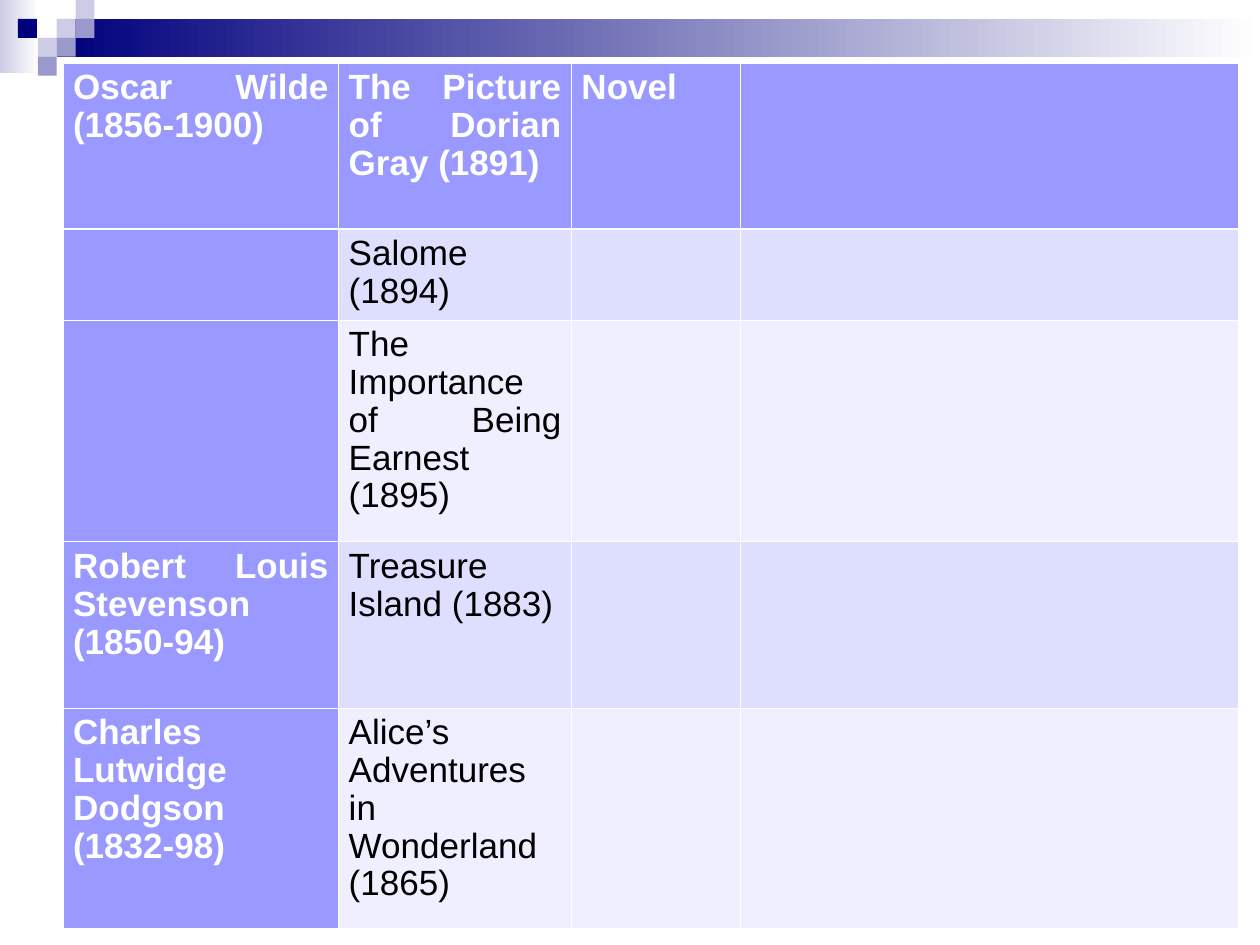
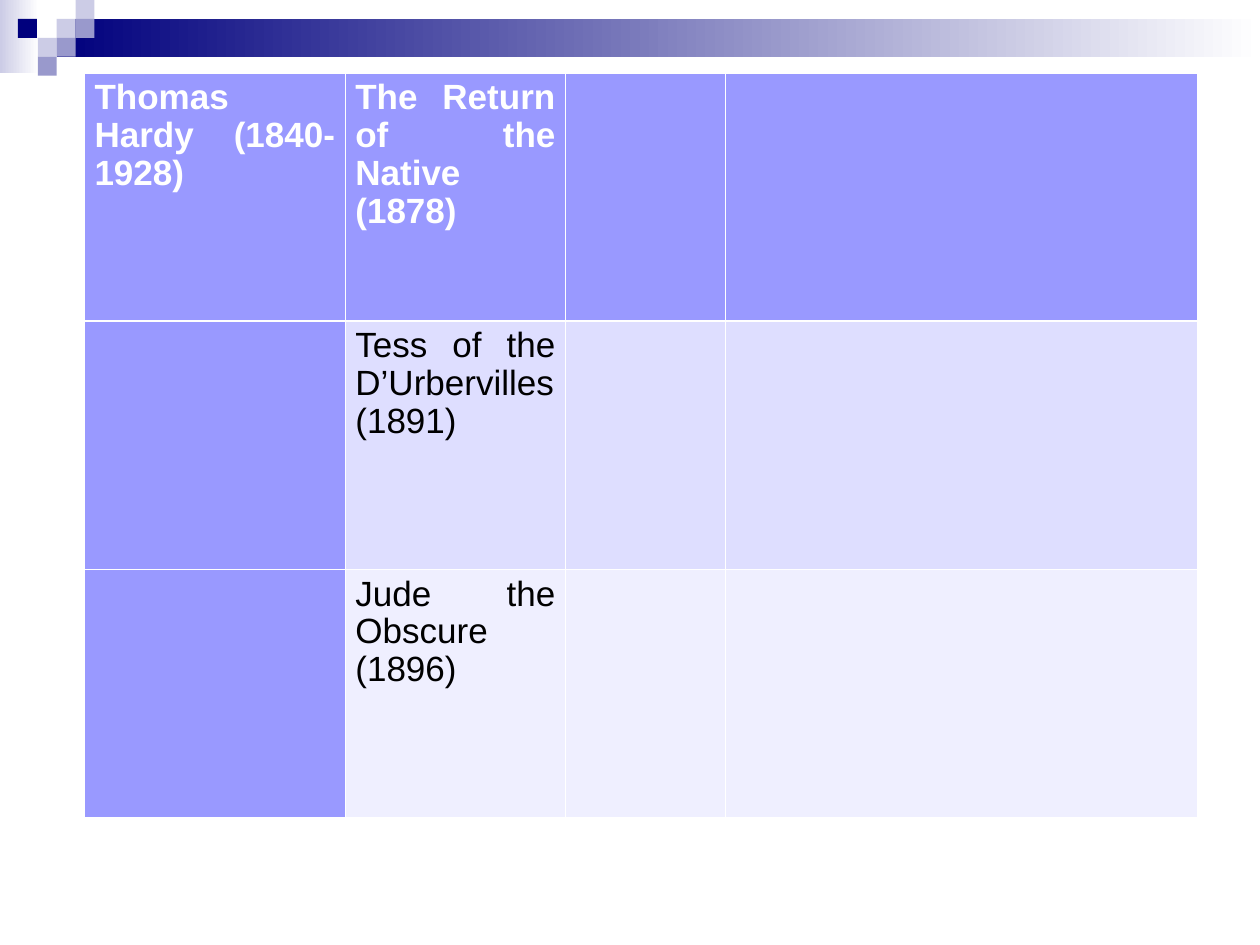
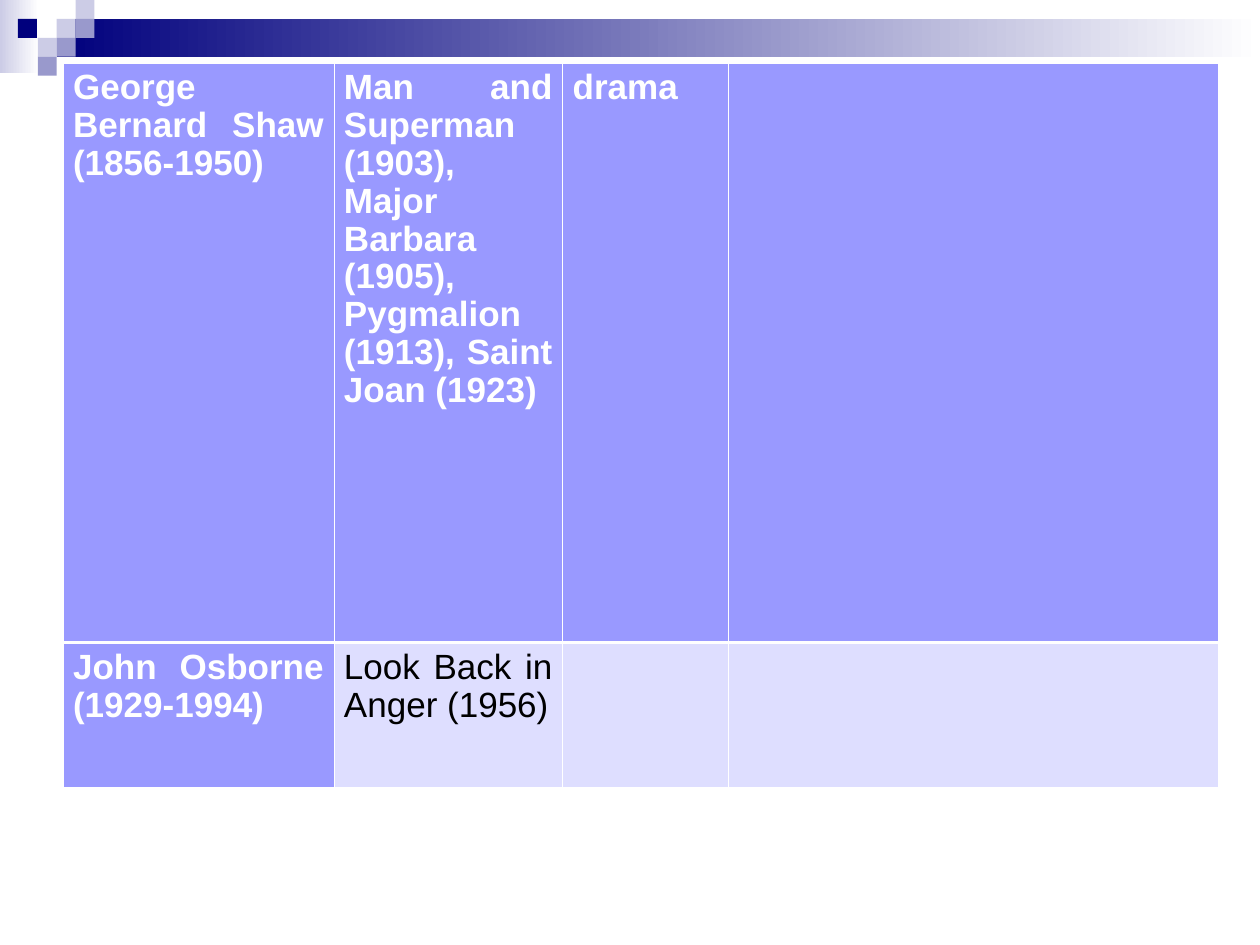
from lxml.etree import SubElement
from pptx import Presentation
from pptx.dml.color import RGBColor
from pptx.enum.shapes import MSO_SHAPE
from pptx.enum.text import PP_ALIGN
from pptx.oxml.ns import qn
from pptx.util import Inches, Pt

COLORS = {
    "white": "FFFFFF", "black": "000000", "navy": "00007D",
    "mist": "CCCCE6", "slate": "9999CC",
    "header": "9999FF", "band_dark": "DEDEFF", "band_light": "EFEFFF",
}
FONT = "Arial"
THIN, THICK = 0.45, 1.47
TILE = 0.15
# Column and row of each square in the corner mosaic, counted in tiles
MOSAIC = [(3, 1, "mist"), (4, 0, "mist"), (4, 1, "slate"), (2, 2, "mist"),
          (0.95, 1, "navy"), (3, 2, "slate"), (2, 3, "slate")]
# Author, work, genre and notes columns as shares of the table width
COLUMN_SHARES = [0.2345, 0.198, 0.1435, 0.424]

# Each table: box (left, top, width), then rows of (height, author, work, genre)
TABLES = [
    ((0.5, 0.5, 9.33), [
        (1.32, "Oscar Wilde (1856-1900)", "The Picture of Dorian Gray (1891)", "Novel"),
        (0.72, "", "Salome (1894)", ""),
        (1.76, "", "The Importance of Being Earnest (1895)", ""),
        (1.32, "Robert Louis Stevenson (1850-94)", "Treasure Island (1883)", ""),
        (1.75, "Charles Lutwidge Dodgson (1832-98)",
         "Alice’s Adventures in Wonderland (1865)", ""),
    ]),
    ((0.67, 0.58, 8.83), [
        (1.97, "Thomas Hardy (1840-1928)", "The Return of the Native (1878)", ""),
        (1.97, "", "Tess of the D’Urbervilles (1891)", ""),
        (1.97, "", "Jude the Obscure (1896)", ""),
    ]),
    ((0.5, 0.5, 9.17), [
        (4.6, "George Bernard Shaw (1856-1950)",
         "Man and Superman (1903), Major Barbara (1905), "
         "Pygmalion (1913), Saint Joan (1923)", "drama"),
        (1.15, "John Osborne (1929-1994)", "Look Back in Anger (1956)", ""),
    ]),
]


def rgb(name):
    return RGBColor.from_string(COLORS[name])


def add_block(page, left, top, width, height, *colors):
    """Add a rectangle: solid for one colour, left-to-right gradient for two."""
    block = page.shapes.add_shape(MSO_SHAPE.RECTANGLE, Inches(left), Inches(top),
                                  Inches(width), Inches(height))
    block.shadow.inherit = False
    block.line.fill.background()
    if len(colors) == 1:
        block.fill.solid()
        block.fill.fore_color.rgb = rgb(colors[0])
    else:
        block.fill.gradient()
        block.fill.gradient_angle = 0
        for stop, color in zip(block.fill.gradient_stops, colors):
            stop.color.rgb = rgb(color)
    return block


def decorate_layout(layout, page):
    """Draw the top band on a page and move it to the layout all pages share."""
    for holder in list(layout.placeholders):
        layout.shapes.element.remove(holder.element)
    blocks = [add_block(page, 0, 0, 0.31, 0.58, "mist", "white"),
              add_block(page, 0.45, 0.15, 9.55, 0.3, "navy", "white")]
    blocks += [add_block(page, column * TILE, row * TILE, TILE, TILE, color)
               for column, row, color in MOSAIC]
    for block in blocks:
        layout.shapes.element.append(block.element)


def write_text(frame, text, size=20, color="black", bold=False, align=PP_ALIGN.JUSTIFY):
    para = frame.paragraphs[0]
    para.alignment = align
    para.line_spacing = 0.97
    para.font.size = Pt(size)
    if text:
        span = para.add_run()
        span.text = text
        span.font.name = FONT
        span.font.size = Pt(size)
        span.font.bold = bold
        span.font.color.rgb = rgb(color)


def set_borders(cell, **widths):
    properties = cell._tc.get_or_add_tcPr()
    for side in "LRTB":
        line = SubElement(properties, qn(f"a:ln{side}"),
                          w=str(Pt(widths.get(side, THIN))))
        SubElement(SubElement(line, qn("a:solidFill")), qn("a:srgbClr"),
                   val=COLORS["white"])


def style_cell(cell, text, row, column):
    is_heading = row == 0 or column == 0
    cell.margin_left = cell.margin_right = Inches(0.08)
    cell.margin_top = cell.margin_bottom = Inches(0.05)
    set_borders(cell, T=THICK if row == 1 else THIN, B=THICK if row == 0 else THIN)
    band = "band_dark" if row % 2 else "band_light"
    cell.fill.solid()
    cell.fill.fore_color.rgb = rgb("header" if is_heading else band)
    write_text(cell.text_frame, text, color="white" if is_heading else "black",
               bold=is_heading)


def add_works_table(page, box, rows):
    left, top, width = box
    height = sum(row[0] for row in rows)
    table = page.shapes.add_table(len(rows), len(COLUMN_SHARES), Inches(left), Inches(top),
                                  Inches(width), Inches(height)).table
    table.first_col = True
    table.horz_banding = False
    for column, share in zip(table.columns, COLUMN_SHARES):
        column.width = Inches(width * share)
    for row_index, (row_height, *texts) in enumerate(rows):
        table.rows[row_index].height = Inches(row_height)
        for column_index, text in enumerate([*texts, ""]):
            style_cell(table.cell(row_index, column_index), text, row_index, column_index)


def main():
    deck = Presentation()
    deck.slide_width, deck.slide_height = Inches(10), Inches(7.5)
    layout = deck.slide_layouts[6]
    pages = [deck.slides.add_slide(layout) for _ in TABLES]
    decorate_layout(layout, pages[0])
    for page, (box, rows) in zip(pages, TABLES):
        add_works_table(page, box, rows)
    deck.save("out.pptx")


if __name__ == "__main__":
    main()
